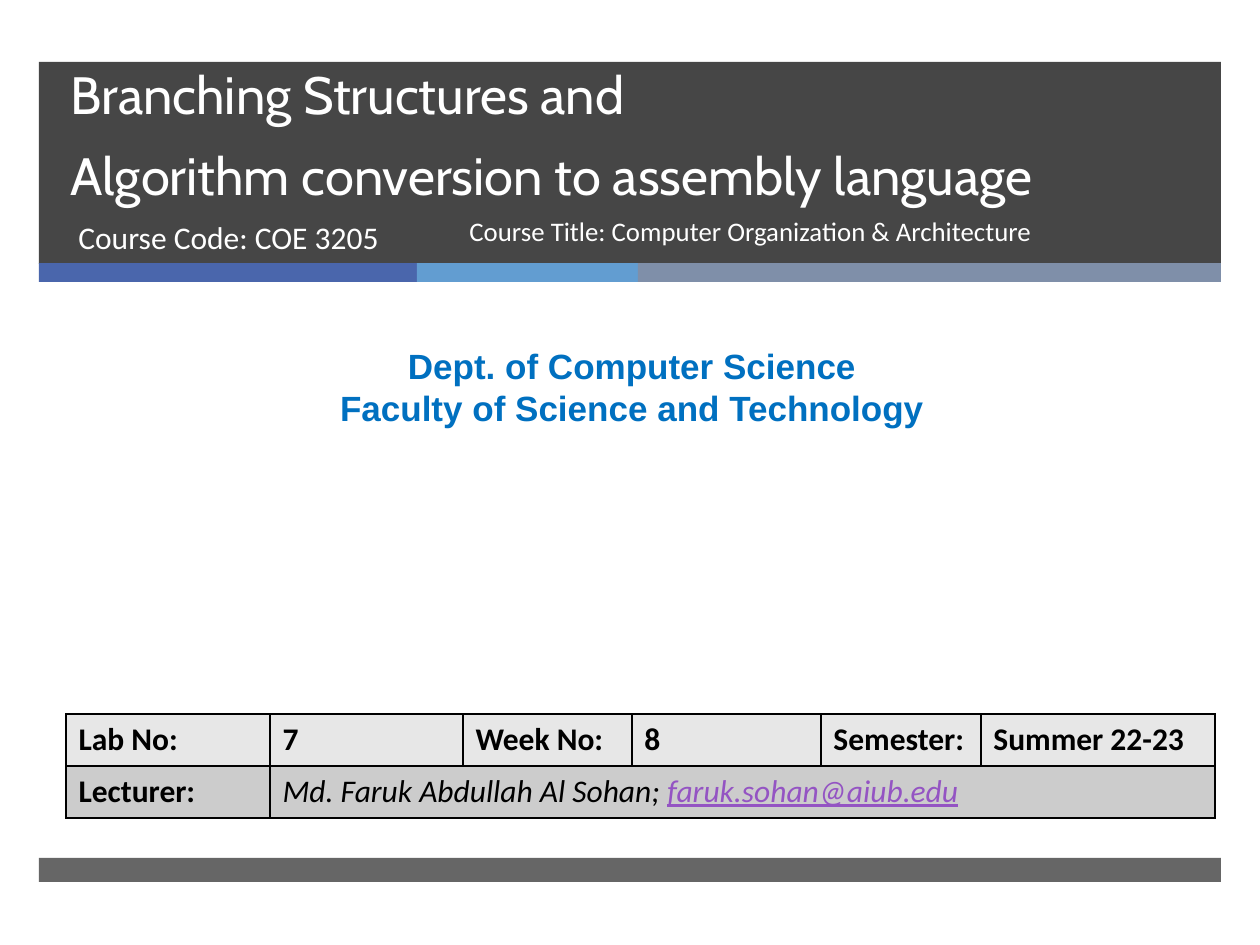
from lxml import etree
from pptx import Presentation
from pptx.dml.color import RGBColor
from pptx.enum.shapes import MSO_SHAPE
from pptx.enum.text import MSO_ANCHOR, MSO_AUTO_SIZE, PP_ALIGN
from pptx.oxml import parse_xml
from pptx.oxml.ns import nsdecls, qn
from pptx.util import Pt

RECT = MSO_SHAPE.RECTANGLE
LEFT, CENTER = PP_ALIGN.LEFT, PP_ALIGN.CENTER
TOP, BOTTOM = MSO_ANCHOR.TOP, MSO_ANCHOR.BOTTOM
NO_FIT = MSO_AUTO_SIZE.NONE
SCALE = 914400 / 126

EDGE, WIDTH = 39, 1182
BANDS = [(62, 202, "262626", 85), (858, 24, "262626", 70)]
STRIPES = [(378, "4A66AC"), (221, "629DD1"), (583, "7F8FA9")]
TITLE = ["Branching Structures and", "Algorithm conversion to assembly language"]
CODE = "Course Code: COE 3205"
COURSE = "Course Title: Computer Organization & Architecture"
DEPT = ["Dept. of Computer Science", "Faculty of Science and Technology"]
COLS = [204, 193, 169, 189, 160, 234]
ROW = 52
LAB = ["Lab No:", "7", "Week No:", "8", "Semester:", "Summer 22-23"]
LECTURER = ("Lecturer:", "Md. Faruk Abdullah Al Sohan; ", "faruk.sohan@aiub.edu")
FILLS = ["E7E7E7", "CCCCCC"]


def px(n):
    return round(n * SCALE)


def color(code):
    return RGBColor.from_string(code)


def add_run(para, text, size=18, face="Calibri", ink="000000",
            bold=False, italic=False, under=False):
    run = para.add_run()
    run.text = text
    font = run.font
    font.size, font.name, font.color.rgb = Pt(size), face, color(ink)
    font.bold, font.italic, font.underline = bold, italic, under


def write(frame, lines, align=LEFT, anchor=TOP, space=None, **style):
    """Fill a text frame with one paragraph a line."""
    frame.word_wrap = True
    frame.auto_size = NO_FIT
    frame.vertical_anchor = anchor
    for i, line in enumerate(lines):
        para = frame.add_paragraph() if i else frame.paragraphs[0]
        para.alignment = align
        para.line_spacing = space
        for j, part in enumerate(line.split("\n")):
            if j:
                para.add_line_break()
            add_run(para, part, **style)


def add_text(slide, box, lines, **style):
    shape = slide.shapes.add_textbox(*map(px, box))
    write(shape.text_frame, lines, **style)


def add_bar(slide, box, code, alpha=100):
    bar = slide.shapes.add_shape(RECT, *map(px, box))
    bar.shadow.inherit = False
    bar.line.fill.background()
    bar.fill.solid()
    bar.fill.fore_color.rgb = color(code)
    if alpha < 100:
        tone = bar.fill._xPr.find(".//" + qn("a:srgbClr"))
        etree.SubElement(tone, qn("a:alpha")).set("val", str(alpha * 1000))


def style_cell(cell, code):
    props = cell._tc.get_or_add_tcPr()
    for side in ("lnL", "lnR", "lnT", "lnB"):
        props.append(parse_xml(
            f'<a:{side} {nsdecls("a")} w="12700"><a:solidFill>'
            f'<a:srgbClr val="000000"/></a:solidFill></a:{side}>'))
    cell.fill.solid()
    cell.fill.fore_color.rgb = color(code)


def add_info(slide):
    frame = slide.shapes.add_table(2, len(COLS), px(66), px(714),
                                   px(sum(COLS)), px(2 * ROW))
    table = frame.table
    for col, width in zip(table.columns, COLS):
        col.width = px(width)
    for r, code in enumerate(FILLS):
        table.rows[r].height = px(ROW)
        for cell in table.rows[r].cells:
            style_cell(cell, code)
    table.cell(1, 1).merge(table.cell(1, len(COLS) - 1))
    for c, text in enumerate(LAB):
        add_run(table.cell(0, c).text_frame.paragraphs[0], text, bold=True)
    label, name, mail = LECTURER
    add_run(table.cell(1, 0).text_frame.paragraphs[0], label, bold=True)
    para = table.cell(1, 1).text_frame.paragraphs[0]
    add_run(para, name, italic=True)
    add_run(para, mail, italic=True, under=True, ink="9454C3")


def main():
    deck = Presentation()
    deck.slide_width, deck.slide_height = px(1260), px(945)
    slide = deck.slides.add_slide(deck.slide_layouts[5])

    for top, height, code, alpha in BANDS:
        add_bar(slide, (EDGE, top, WIDTH, height), code, alpha)
    left = EDGE
    for width, code in STRIPES:
        add_bar(slide, (left, 263, width, 19), code)
        left += width

    title = slide.shapes.title
    title.left, title.top, title.width, title.height = map(px, (58, 62, 1076, 150))
    write(title.text_frame, ["\n".join(TITLE)], anchor=BOTTOM, space=Pt(46),
          size=30, face="Cabin", ink="FFFFFF")
    # Bring the title in front of the dark band
    slide.shapes._spTree.append(title._element)

    add_text(slide, (66, 212, 384, 67), [CODE], ink="FFFFFF")
    add_text(slide, (457, 212, 591, 67), [COURSE], space=0.9, size=15.3, ink="FFFFFF")
    add_text(slide, (10, 338, 1244, 97), DEPT, align=CENTER, size=20,
             face="Arial", ink="0070C0", bold=True)
    add_info(slide)
    deck.save("out.pptx")


if __name__ == "__main__":
    main()
